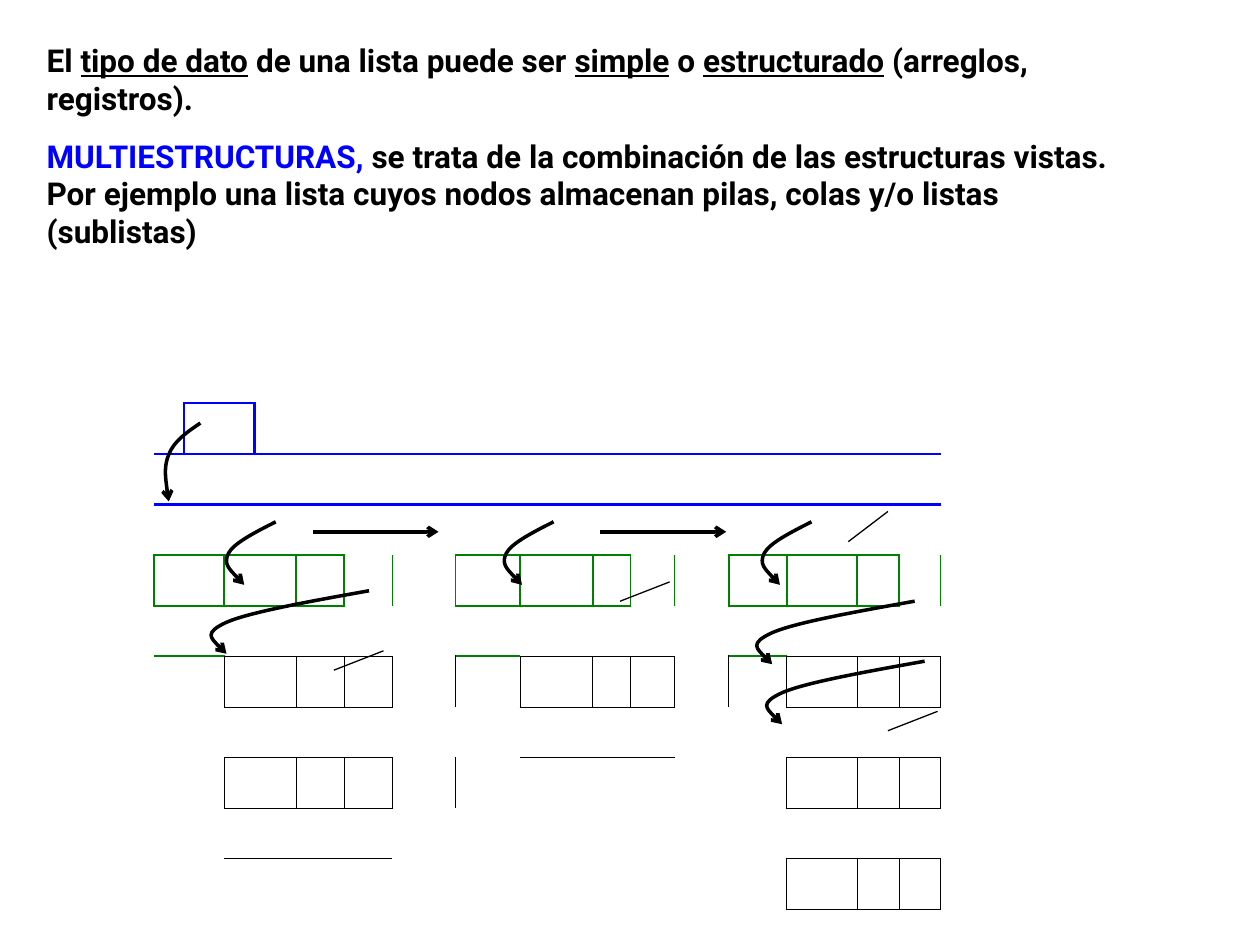
from collections import defaultdict
from dataclasses import dataclass

from lxml import etree
from pptx import Presentation
from pptx.dml.color import RGBColor
from pptx.enum.shapes import MSO_CONNECTOR
from pptx.oxml.ns import qn
from pptx.util import Cm, Pt

STRAIGHT = MSO_CONNECTOR.STRAIGHT
NO_STYLE = "{2D5ABB26-0587-4C30-8999-92F81FD0307C}"


@dataclass(frozen=True)
class Theme:
    """Colours, type and line widths of the slide."""
    black: str = "000000"
    blue: str = "0000FF"
    green: str = "008000"
    font: str = "Roboto"
    body: float = 18
    gap: float = 11.2
    list_line: float = 1.47
    node_line: float = 1.08
    sub_line: float = 0.45
    pointer: float = 2
    nil: float = 0.75


THEME = Theme()
COLUMNS = (0.61, 0.81, 0.61, 0.84, 0.97, 0.97, 1.27, 1.3,
           1.47, 0.76, 0.89, 1.09, 1.17, 1.42, 0.84, 0.84)
ROWS = (1.02,) * 10 + (0.72,)
NODES = {3: ((0, 2, 4), (7, 8, 9), (12, 13, 14))}
SUBNODES = {
    5: ((2, 4, 5), (8, 9, 10), (13, 14, 15)),
    7: ((2, 4, 5), (13, 14, 15)),
    9: ((13, 14, 15),),
}
MERGES = [(0, 1, 2), (0, 3, 15), (1, 0, 1), (1, 2, 15)]
MERGES += [(row, start, start + 1) for row in range(2, 10) for start in (0, 2)]

HEAD_HOOK = ((1, 0), (0.65, 0.11), (0.28, 0.23), (0.14, 0.4),
             (0, 0.56), (0.07, 0.79), (0.14, 1))
SHORT_HOOK = ((1, 0), (0.6, 0.17), (0.2, 0.34), (0.1, 0.5),
              (0, 0.67), (0.2, 0.83), (0.4, 1))
LONG_HOOK = ((1, 0), (0.64, 0.17), (0.28, 0.34), (0.14, 0.5),
             (0, 0.67), (0.07, 0.83), (0.14, 1))
HOOKS = [(HEAD_HOOK, 0.2, 0.4, 0.74, 1.58)]
HOOKS += [(SHORT_HOOK, x, 2.39, 1.06, 1.27) for x in (1.4, 7, 12.2)]
HOOKS += [(LONG_HOOK, x, y, 3.34, 1.27)
          for x, y in ((1, 3.78), (12, 3.99), (12.2, 5.2))]
NEXT_ARROWS = [(x, 2.59, 2.54, 0) for x in (3.2, 9)]
NIL_MARKS = ((14, 2.79, 0.8, -0.61), (3.63, 5.38, 1, -0.39),
             (9.4, 3.99, 1, -0.39), (14.8, 6.6, 1, -0.39))


def add_statement(slide, left, top, width, height):
    """Write the two paragraphs of explanation."""
    frame = slide.shapes.add_textbox(Cm(left), Cm(top), Cm(width), Cm(height)).text_frame
    frame.word_wrap = True
    types = frame.paragraphs[0]
    definition = frame.add_paragraph()
    for text, underlined in (
        ("El ", False), ("tipo de dato", True), (" de una lista puede ser ", False),
        ("simple", True), (" o ", False), ("estructurado", True),
        (" (arreglos, registros).", False),
    ):
        run = types.add_run()
        run.text = text
        run.font.underline = underlined
    for text, color in (
        ("MULTIESTRUCTURAS,", THEME.blue),
        (" se trata de la combinación de las estructuras vistas. Por ejemplo una lista "
         "cuyos nodos almacenan pilas, colas y/o listas (sublistas)", THEME.black),
    ):
        run = definition.add_run()
        run.text = text
        run.font.color.rgb = RGBColor.from_string(color)
    definition.space_before = Pt(THEME.gap)
    for paragraph in frame.paragraphs:
        paragraph.font.name = THEME.font
        paragraph.font.size = Pt(THEME.body)
        paragraph.font.bold = True
    types.font.color.rgb = RGBColor.from_string(THEME.black)


def plan_borders():
    """Map each cell to its edges, shared with the cells beside it."""
    spans = {(row, start): end for row, start, end in MERGES}
    anchors = {(row, end): start for row, start, end in MERGES}
    edges = defaultdict(dict)
    list_pen = (THEME.blue, THEME.list_line)
    edges[0, 0]["R"] = edges[0, 3]["L"] = list_pen
    edges[0, 1] = dict.fromkeys("LRTB", list_pen)
    edges[1, 0]["T"] = edges[1, 2]["T"] = list_pen
    for level, pen in ((NODES, (THEME.green, THEME.node_line)),
                       (SUBNODES, (THEME.black, THEME.sub_line))):
        for row, nodes in level.items():
            for column in (column for node in nodes for column in node):
                edges[row, column].update(dict.fromkeys("LRTB", pen))
                edges[row - 1, column]["B"] = pen
                edges[row + 1, column]["T"] = pen
                following = spans.get((row, column), column) + 1
                if following < len(COLUMNS):
                    edges[row, following]["L"] = pen
                if column:
                    edges[row, anchors.get((row, column - 1), column - 1)]["R"] = pen
    return edges


def draw_edges(cell, edges):
    """Write the borders of one cell."""
    properties = cell._tc.get_or_add_tcPr()
    for side in "LRTB":
        if side in edges:
            color, width = edges[side]
            line = etree.SubElement(properties, qn(f"a:ln{side}"), w=str(Pt(width)))
            fill = etree.SubElement(line, qn("a:solidFill"))
            etree.SubElement(fill, qn("a:srgbClr"), val=color)


def add_list_grid(slide, left, top):
    """Lay out the list, its nodes and their sublists as table cells."""
    table = slide.shapes.add_table(
        len(ROWS), len(COLUMNS), Cm(left), Cm(top), Cm(sum(COLUMNS)), Cm(sum(ROWS))
    ).table
    table.first_row = table.horz_banding = False
    table._tbl.tblPr.find(qn("a:tableStyleId")).text = NO_STYLE
    for column, width in zip(table.columns, COLUMNS):
        column.width = Cm(width)
    for row, height in zip(table.rows, ROWS):
        row.height = Cm(height)
    for row, start, end in MERGES:
        table.cell(row, start).merge(table.cell(row, end))
    edges = plan_borders()
    for row in range(len(ROWS)):
        for column in range(len(COLUMNS)):
            cell = table.cell(row, column)
            cell.margin_left = cell.margin_right = cell.margin_top = cell.margin_bottom = 0
            draw_edges(cell, edges[row, column])
            cell.fill.background()


def style_line(stroke, width, arrow):
    """Give a connector or outline its pen and optional arrowhead."""
    stroke.line.color.rgb = RGBColor.from_string(THEME.black)
    stroke.line.width = Pt(width)
    if arrow:
        etree.SubElement(stroke.line._get_or_add_ln(), qn("a:tailEnd"), type="arrow")


def add_hook(slide, curve, left, top, width, height):
    """Draw a curved pointer from control points given as fractions of its box."""
    points = [(Cm(left + x * width), Cm(top + y * height)) for x, y in curve]
    builder = slide.shapes.build_freeform(*points[0])
    builder.add_line_segments(points[1:], close=False)
    hook = builder.convert_to_shape()
    hook.shadow.inherit = False
    hook.fill.background()
    style_line(hook, THEME.pointer, True)
    segments = list(hook._element.iter(qn("a:lnTo")))
    outline = segments[0].getparent()
    for first in range(0, len(segments), 3):
        bend = etree.SubElement(outline, qn("a:cubicBezTo"))
        for segment in segments[first:first + 3]:
            bend.append(segment[0])
            outline.remove(segment)


def add_straight(slide, left, top, dx, dy, width, arrow):
    """Draw a straight line from its start and its reach."""
    line = slide.shapes.add_connector(
        STRAIGHT, Cm(left), Cm(top), Cm(left + dx), Cm(top + dy))
    style_line(line, width, arrow)
    etree.SubElement(line._element.spPr, qn("a:effectLst"))


def add_pointers(slide, left, top):
    """Draw the pointers and nil marks over the list grid."""
    for curve, x, y, width, height in HOOKS:
        add_hook(slide, curve, left + x, top + y, width, height)
    for marks, width, arrow in ((NEXT_ARROWS, THEME.pointer, True),
                                (NIL_MARKS, THEME.nil, False)):
        for x, y, dx, dy in marks:
            add_straight(slide, left + x, top + y, dx, dy, width, arrow)


def main():
    """Build and save the slide."""
    deck = Presentation()
    deck.slide_width, deck.slide_height = Cm(25.4), Cm(19.05)
    slide = deck.slides.add_slide(deck.slide_layouts[6])
    add_list_grid(slide, 3.1, 8.13)
    add_statement(slide, 0.69, 0.71, 22.4, 4.47)
    add_pointers(slide, 3.1, 8.13)
    deck.save("out.pptx")


if __name__ == "__main__":
    main()
